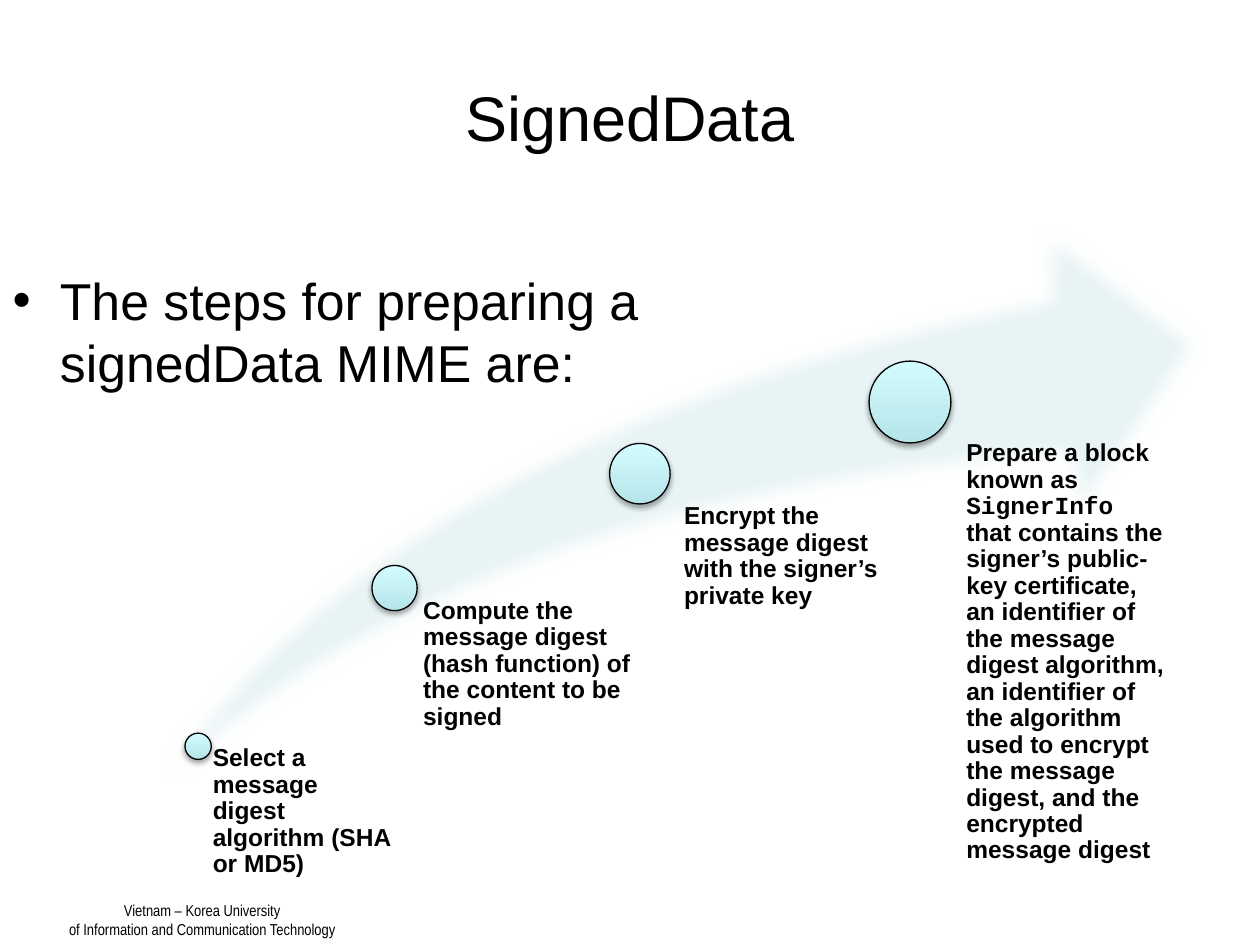
from dataclasses import dataclass

import pptx
import pptx.dml.color
import pptx.enum.shapes
import pptx.enum.text
import pptx.oxml
import pptx.oxml.ns
import pptx.util

Cm = pptx.util.Cm
Pt = pptx.util.Pt
Align = pptx.enum.text.PP_ALIGN
Kind = pptx.enum.shapes.MSO_SHAPE


@dataclass(frozen=True)
class Theme:
    ink: str = "000000"
    swoosh: str = "E7F3F4"
    low: str = "B5E5E9"
    high: str = "D3FBFF"
    main: str = "Arial"
    code: str = "Courier New"
    small: str = "Arial Narrow"
    head: float = 36
    lead: float = 29.6
    step: float = 14
    foot: float = 9


THEME = Theme()

STEPS = [
    ((2.29, 13.36, 0.53), (1.73, 1.69, 3.96, 3.45), 0.28,
     ["Select a message digest algorithm (SHA or MD5)"]),
    ((6.06, 9.98, 0.91), (5.77, -1.28, 4.85, 5.21), 0.48,
     ["Compute the message digest (hash function) of the content to be signed"]),
    ((10.85, 7.52, 1.22), (10.85, -3.19, 4.85, 5.84), 0.66,
     ["Encrypt the message digest with the signer’s private key"]),
    ((16.08, 5.86, 1.65), (16.34, -4.46, 4.85, 9.25), 0.86,
     ["Prepare a block known as ", "SignerInfo ",
      "that contains the signer’s public-key certificate, an identifier of "
      "the message digest algorithm, an identifier of the algorithm used to "
      "encrypt the message digest, and the encrypted message digest"]),
]


def color(value):
    return pptx.dml.color.RGBColor.from_string(value)


def style(font, name, size, bold=False):
    font.name = name
    font.size = Pt(size)
    font.bold = bold
    font.color.rgb = color(THEME.ink)


def place(shape, box):
    shape.left, shape.top, shape.width, shape.height = map(Cm, box)


def effect(shape, inner):
    shape.shadow.inherit = False
    tag = pptx.oxml.ns.qn("a:effectLst")
    space = pptx.oxml.ns.nsdecls("a")
    node = pptx.oxml.parse_xml(inner.replace(" ", f" {space} ", 1))
    shape._element.spPr.find(tag).append(node)


def fill_holder(shape, box, text, size, align):
    place(shape, box)
    frame = shape.text_frame
    frame.text = text
    frame.auto_size = pptx.enum.text.MSO_AUTO_SIZE.NONE
    para = frame.paragraphs[0]
    para.alignment = align
    para.space_before = Pt(0)
    style(para.font, THEME.main, size)


def add_swoosh(slide, box):
    arrow = slide.shapes.add_shape(Kind.SWOOSH_ARROW, *map(Cm, box))
    arrow.adjustments[0] = arrow.adjustments[1] = 0.25
    arrow.fill.solid()
    arrow.fill.fore_color.rgb = color(THEME.swoosh)
    arrow.line.fill.background()
    effect(arrow, '<a:softEdge rad="127000"/>')


def add_dot(slide, left, top, size):
    dot = slide.shapes.add_shape(Kind.OVAL, *map(Cm, (left, top, size, size)))
    dot.fill.gradient()
    dot.fill.gradient_angle = 90
    for stop, tint in zip(dot.fill.gradient_stops, (THEME.low, THEME.high)):
        stop.color.rgb = color(tint)
    dot.line.color.rgb = color(THEME.ink)
    dot.line.width = Pt(0.75)
    effect(dot, '<a:outerShdw blurRad="40000" dist="23000" dir="5400000" '
                'rotWithShape="0"><a:srgbClr val="000000">'
                '<a:alpha val="35000"/></a:srgbClr></a:outerShdw>')


def add_label(slide, box, inset, parts):
    frame = slide.shapes.add_textbox(*map(Cm, box)).text_frame
    frame.word_wrap = True
    frame.margin_left = Cm(inset)
    frame.margin_top = frame.margin_right = frame.margin_bottom = 0
    para = frame.paragraphs[0]
    para.line_spacing = 0.9
    style(para.font, THEME.main, THEME.step, True)
    for part in parts:
        run = para.add_run()
        run.text = part
        if part.startswith("SignerInfo"):
            run.font.name = THEME.code


def add_steps(slide, box):
    left, top, width, height = box
    add_swoosh(slide, box)
    for (x, y, size), (tx, ty, wide, high), inset, parts in STEPS:
        add_dot(slide, left + x - 1 + 0.99, top + y - 2.59, size)
        add_label(slide, (left + tx + 0.83, top + ty + 9.33, wide, high),
                  inset, parts)


def add_foot(slide, box):
    frame = slide.shapes.add_textbox(*map(Cm, box)).text_frame
    frame.word_wrap = False
    frame.text = ("Vietnam – Korea University\n"
                  "of Information and Communication Technology")
    for para in frame.paragraphs:
        para.alignment = Align.CENTER
        style(para.font, THEME.small, THEME.foot)


def main():
    deck = pptx.Presentation()
    deck.slide_width, deck.slide_height = Cm(25.4), Cm(19.05)
    slide = deck.slides.add_slide(deck.slide_layouts[1])
    title, body = slide.placeholders
    fill_holder(title, (1.27, 0.76, 22.86, 3.18), "SignedData",
                THEME.head, Align.CENTER)
    fill_holder(body, (0, 5.28, 13.54, 2.31),
                "The steps for preparing a signedData MIME are:",
                THEME.lead, Align.LEFT)
    add_steps(slide, (1.45, 4.01, 23.14, 14.45))
    add_foot(slide, (1.09, 18.03, 5.97, 1.02))
    deck.save("out.pptx")


if __name__ == "__main__":
    main()
